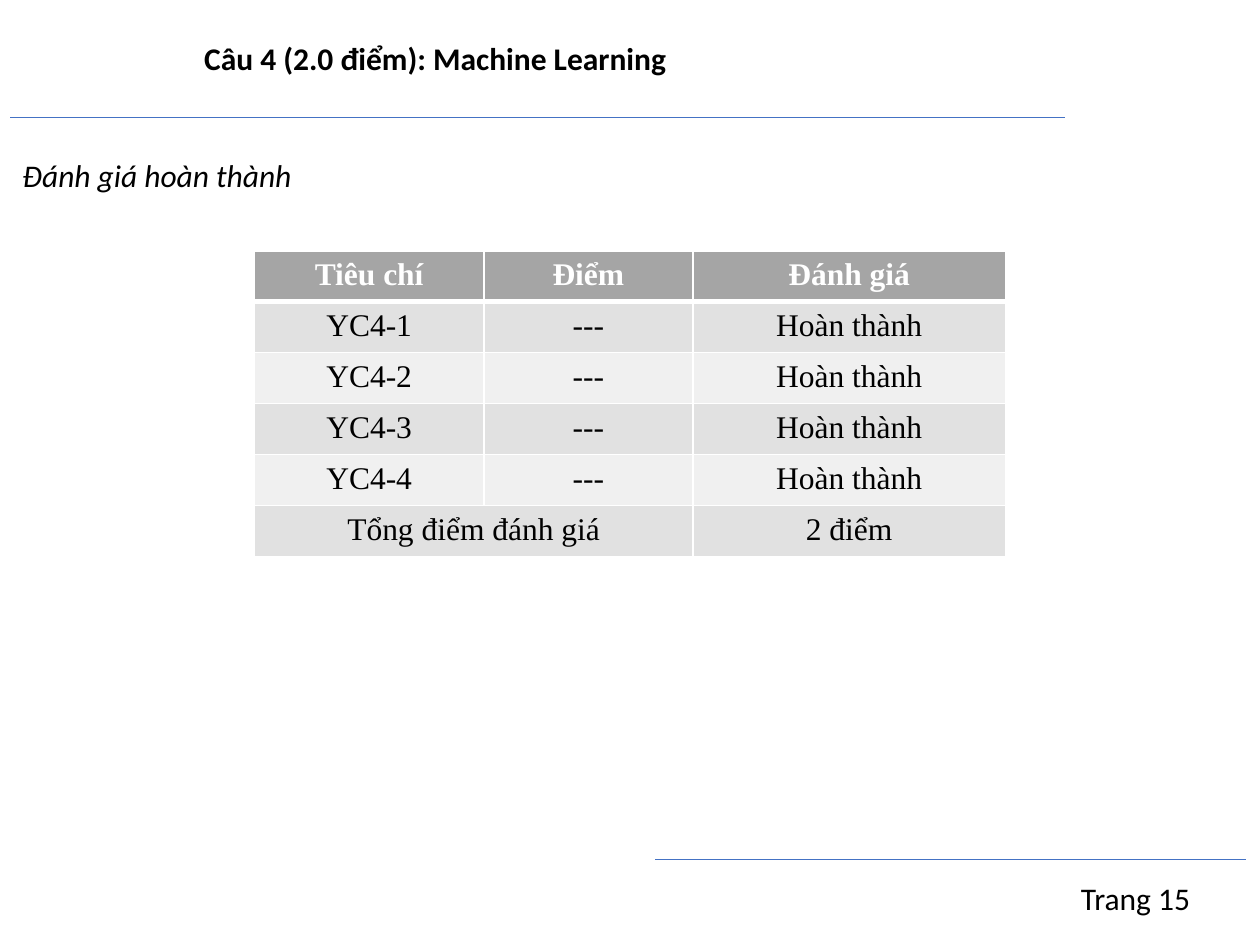
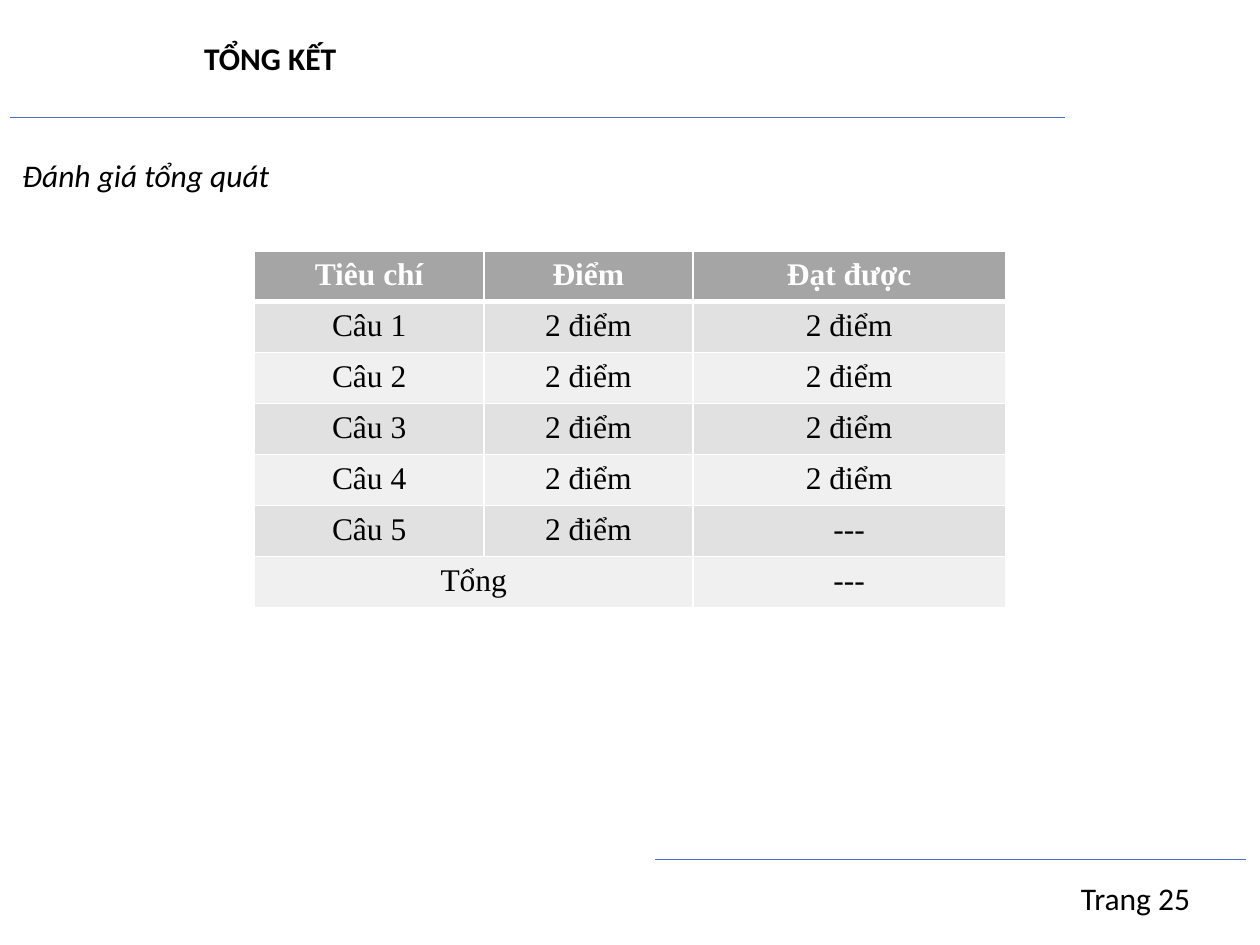
from lxml import etree
from pptx import Presentation
from pptx.dml.color import RGBColor
from pptx.enum.shapes import MSO_CONNECTOR
from pptx.enum.text import MSO_ANCHOR, MSO_AUTO_SIZE, PP_ALIGN
from pptx.oxml.ns import qn
from pptx.util import Inches, Pt

LEFT, CENTER = PP_ALIGN.LEFT, PP_ALIGN.CENTER
TOP = MSO_ANCHOR.TOP
GROW = MSO_AUTO_SIZE.SHAPE_TO_FIT_TEXT
STRAIGHT = MSO_CONNECTOR.STRAIGHT

COLORS = {"text": "000000", "rule": "4472C4", "white": "FFFFFF",
          "header": "A5A5A5", "odd": "E1E1E1", "even": "F0F0F0"}
SANS, SERIF = "Calibri", "Times New Roman"

TITLE_BOX = (1.52, 0.26, 6.96, 0.4)
PAGE_BOX = (8.48, 6.93, 1.41, 0.4)
TABLE_POS = (2.02, 1.99)
COL_WIDTHS = (1.82, 1.66, 2.48)
ROW_HEIGHT = 0.405


def rgb(name):
    """Look up a palette colour."""
    return RGBColor.from_string(COLORS[name])


def write(tf, text, font=SANS, color="text", bold=False, italic=False,
          align=LEFT):
    """Put one formatted 18 pt paragraph into a text frame."""
    p = tf.paragraphs[0]
    p.alignment = align
    r = p.add_run()
    r.text = text
    r.font.name, r.font.size = font, Pt(18)
    r.font.bold, r.font.italic = bold, italic
    r.font.color.rgb = rgb(color)


def add_text(s, box, text, wrap=True, **fmt):
    """Add a text box that grows with its text."""
    sp = s.shapes.add_textbox(*map(Inches, box))
    tf = sp.text_frame
    tf.word_wrap, tf.auto_size = wrap, GROW
    write(tf, text, **fmt)


def add_rule(s, x1, x2, y):
    """Draw a thin horizontal rule."""
    line = s.shapes.add_connector(STRAIGHT, *map(Inches, (x1, y, x2, y)))
    line.line.color.rgb = rgb("rule")
    line.line.width = Pt(0.5)
    etree.SubElement(line._element.spPr, qn("a:effectLst"))


def add_title(s, box, text):
    """Place the title placeholder in the given box."""
    sp = s.shapes.title
    sp.left, sp.top, sp.width, sp.height = map(Inches, box)
    tf = sp.text_frame
    tf.word_wrap, tf.auto_size, tf.vertical_anchor = True, GROW, TOP
    write(tf, text, bold=True)


def set_borders(cell, top=1, bottom=1):
    """Give a cell white borders, with widths in points."""
    tcPr = cell._tc.get_or_add_tcPr()
    for side, width in (("L", 1), ("R", 1), ("T", top), ("B", bottom)):
        ln = etree.SubElement(tcPr, qn(f"a:ln{side}"), w=str(Pt(width)))
        fill = etree.SubElement(ln, qn("a:solidFill"))
        etree.SubElement(fill, qn("a:srgbClr"), val=COLORS["white"])


def add_score_table(s, pos, rows):
    """Add a banded table whose last row merges its first two cells."""
    size = (sum(COL_WIDTHS), ROW_HEIGHT * len(rows))
    table = s.shapes.add_table(len(rows), len(COL_WIDTHS),
                               *map(Inches, pos + size)).table
    for col, width in zip(table.columns, COL_WIDTHS):
        col.width = Inches(width)
    for i, row in enumerate(rows):
        head = i == 0
        band = "header" if head else "odd" if i % 2 else "even"
        for j, text in enumerate(row):
            cell = table.cell(i, j)
            set_borders(cell, top=3 if i == 1 else 1, bottom=3 if head else 1)
            cell.fill.solid()
            cell.fill.fore_color.rgb = rgb(band)
            if text:
                write(cell.text_frame, text, font=SERIF, bold=head,
                      color="white" if head else "text", align=CENTER)
    last = len(rows) - 1
    table.cell(last, 0).merge(table.cell(last, 1))


def add_score_slide(prs, title, subtitle, subtitle_width, page, rows):
    """Build a slide with title, subtitle, score table and page number."""
    s = prs.slides.add_slide(prs.slide_layouts[5])
    add_rule(s, 0.08, 8.45, 0.93)
    add_title(s, TITLE_BOX, title)
    add_score_table(s, TABLE_POS, rows)
    add_text(s, (0.08, 1.19, subtitle_width, 0.4), subtitle, wrap=False,
             italic=True)
    add_rule(s, 5.2, 9.89, 6.82)
    add_text(s, PAGE_BOX, f"Trang {page}")


prs = Presentation()
prs.slide_width, prs.slide_height = Inches(10), Inches(7.5)

criteria = [(f"YC4-{n}", "---", "Hoàn thành") for n in range(1, 5)]
add_score_slide(
    prs, "Câu 4 (2.0 điểm): Machine Learning", "Đánh giá hoàn thành", 2.36, 15,
    [("Tiêu chí", "Điểm", "Đánh giá"), *criteria,
     ("Tổng điểm đánh giá", "", "2 điểm")])

questions = [(f"Câu {n}", "2 điểm", "2 điểm" if n < 5 else "---")
             for n in range(1, 6)]
add_score_slide(
    prs, "TỔNG KẾT", "Đánh giá tổng quát", 2.18, 25,
    [("Tiêu chí", "Điểm", "Đạt được"), *questions, ("Tổng", "", "---")])

prs.save("out.pptx")
